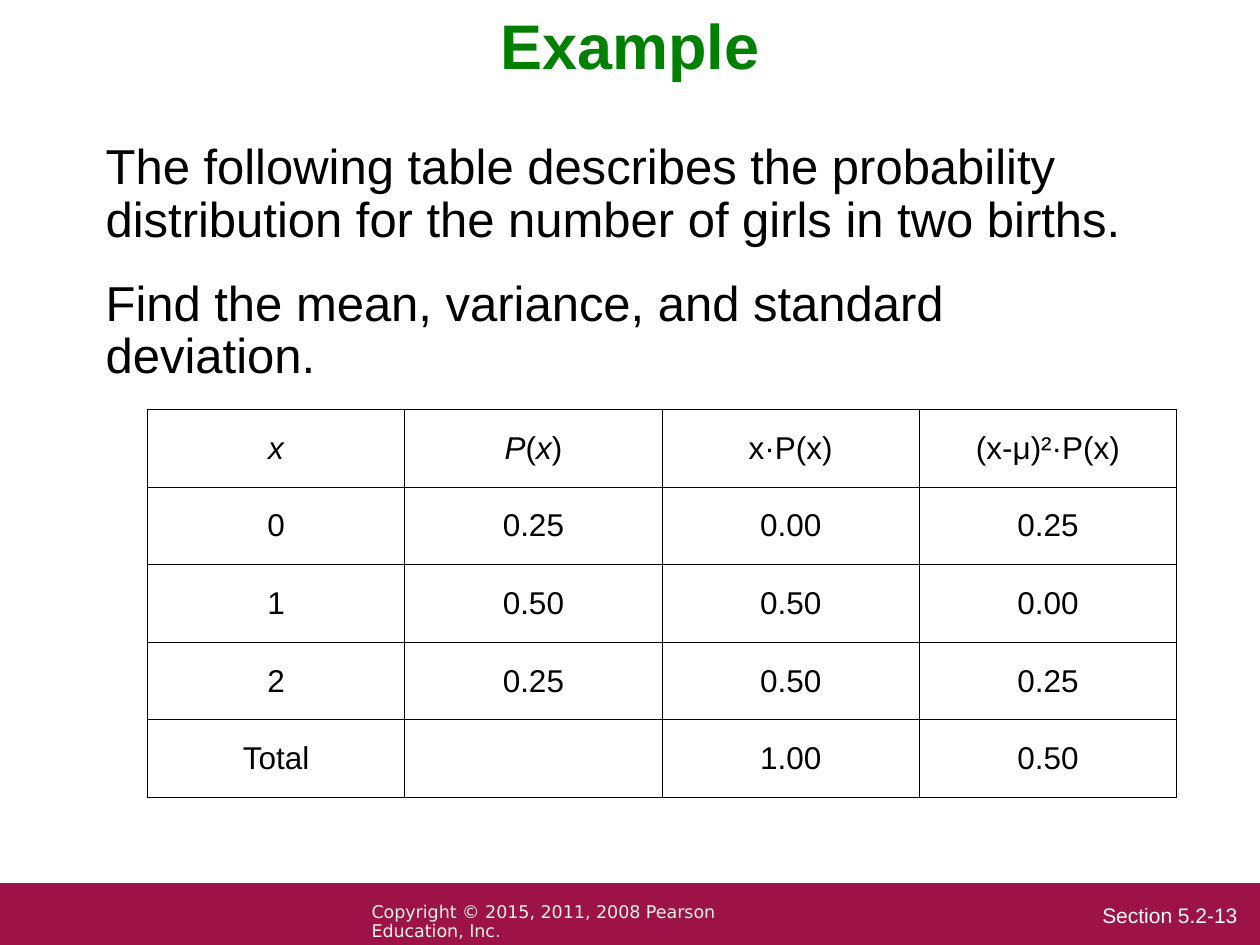
from pptx import Presentation
from pptx.dml.color import RGBColor as RGB
from pptx.enum.shapes import MSO_SHAPE as Shape
from pptx.enum.text import MSO_ANCHOR as Anchor, MSO_AUTO_SIZE as Fit, PP_ALIGN as Align
from pptx.oxml import parse_xml
from pptx.oxml.ns import nsdecls
from pptx.util import Inches, Pt

COLORS = {"band": "9D1348", "title": "008000", "ink": "000000",
          "white": "FFFFFF", "pale": "F3F5E7"}


class Deck:
    font = "Arial"
    rule = Pt(0.45)

    def __init__(self):
        self.prs = Presentation()
        self.prs.slide_width, self.prs.slide_height = Inches(10), Inches(7.5)
        self.slide = self.prs.slides.add_slide(self.prs.slide_layouts[5])

    def style(self, font, size, color, name=None):
        font.name = name or self.font
        font.size = Pt(size)
        font.color.rgb = RGB.from_string(COLORS[color])

    def title(self, text, box):
        shape = self.slide.shapes.title
        shape.left, shape.top, shape.width, shape.height = map(Inches, box)
        frame = shape.text_frame
        frame.text = text
        frame.auto_size = Fit.NONE
        frame.vertical_anchor = Anchor.TOP
        para = frame.paragraphs[0]
        para.alignment = Align.CENTER
        para.line_spacing = 0.9
        run = para.runs[0]
        self.style(run.font, 36, "title")
        run.font.bold = True

    def band(self, box, color):
        shape = self.slide.shapes.add_shape(Shape.RECTANGLE, *map(Inches, box))
        shape.shadow.inherit = False
        shape.fill.solid()
        shape.fill.fore_color.rgb = RGB.from_string(COLORS[color])
        shape.line.fill.background()

    def text(self, lines, box, size, color, name=None, gap=0):
        frame = self.slide.shapes.add_textbox(*map(Inches, box)).text_frame
        frame.word_wrap = True
        frame.text = "\n".join(lines)
        for i, para in enumerate(frame.paragraphs):
            para.line_spacing = 0.9
            para.space_before = Pt(gap if i else 0)
            for run in para.runs:
                self.style(run.font, size, color, name)

    def table(self, rows, box, size):
        frame = self.slide.shapes.add_table(len(rows), len(rows[0]), *map(Inches, box))
        table = frame.table
        table.first_row = table.horz_banding = False
        for r, row in enumerate(rows):
            for c, text in enumerate(row):
                self.cell(table.cell(r, c), text, size)

    def cell(self, cell, text, size):
        """Fill one cell; parts of the text between stars are italic."""
        cell.fill.background()
        cell.vertical_anchor = Anchor.MIDDLE
        self.edge(cell)
        para = cell.text_frame.paragraphs[0]
        para.alignment = Align.CENTER
        for i, part in enumerate(text.split("*")):
            if part:
                run = para.add_run()
                run.text = part
                self.style(run.font, size, "ink")
                run.font.italic = i % 2 == 1

    def edge(self, cell):
        props = cell._tc.get_or_add_tcPr()
        for i, side in enumerate("LRTB"):
            props.insert(i, parse_xml(
                f'<a:ln{side} {nsdecls("a")} w="{self.rule}"><a:solidFill>'
                f'<a:srgbClr val="{COLORS["ink"]}"/></a:solidFill></a:ln{side}>'))


def main():
    deck = Deck()

    # Footer
    deck.band((0, 7.01, 10, 0.5), "band")
    deck.text(["Section 5.2-13"], (8.65, 7.14, 1.33, 0.26), 12, "white")
    deck.text(["Copyright © 2015, 2011, 2008 Pearson Education, Inc."],
              (2.85, 7.12, 3.68, 0.25), 10, "pale", "DejaVu Sans")

    # Title and task
    deck.title("Example", (0.5, 0.07, 9, 0.76))
    deck.text(["The following table describes the probability distribution "
               "for the number of girls in two births.",
               "Find the mean, variance, and standard deviation."],
              (0.74, 1.08, 8.58, 2.03), 28, "ink", gap=17.5)

    # Probability table
    deck.table([["*x*", "*P*(*x*)", "x·P(x)", "(x-μ)²·P(x)"],
                ["0", "0.25", "0.00", "0.25"],
                ["1", "0.50", "0.50", "0.00"],
                ["2", "0.25", "0.50", "0.25"],
                ["Total", "", "1.00", "0.50"]],
               (1.17, 3.25, 8.17, 3.08), 18)

    deck.prs.save("out.pptx")


if __name__ == "__main__":
    main()
